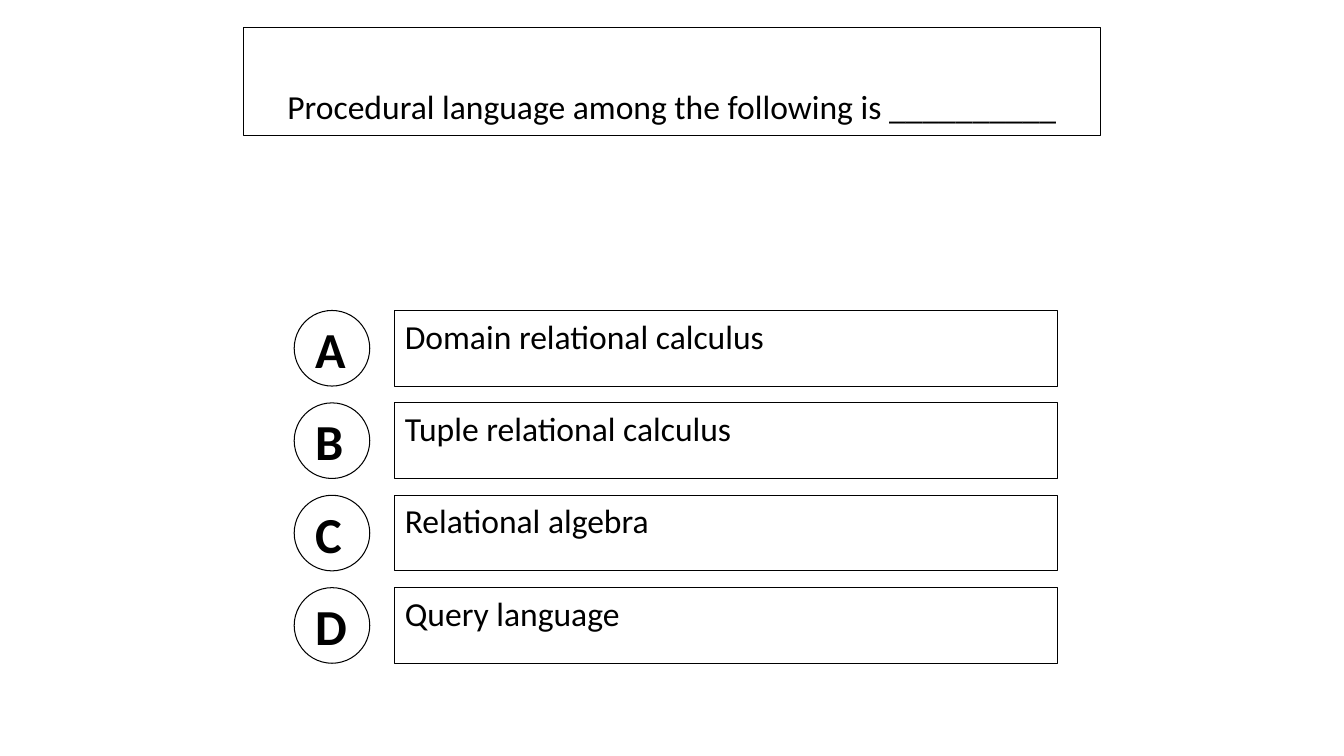
from dataclasses import dataclass

from pptx import Presentation
from pptx import util as u
from pptx.dml.color import RGBColor
from pptx.enum import shapes, text

# Content
QUESTION = "Procedural language among the following is __________"
ANSWERS = [
    ("A", "Domain relational calculus"),
    ("B", "Tuple relational calculus"),
    ("C", "Relational algebra"),
    ("D", "Query language"),
]


@dataclass(frozen=True)
class Theme:
    ink: RGBColor = RGBColor(0, 0, 0)
    paper: RGBColor = RGBColor(255, 255, 255)
    font: str = "Calibri"
    body_size: int = 24
    letter_size: int = 36
    outline: float = 0.75


THEME = Theme()

# Layout in points
SLIDE_SIZE = (960.48, 540)
QUESTION_BOX = (174.24, 19.44, 612, 77.04)
LETTER_LEFT, ANSWER_LEFT = 210.24, 282.24
ANSWER_WIDTH, ROW_HEIGHT = 473.76, 54
FIRST_ROW, ROW_STEP = 221.76, 66


def style(shape, wording, size, anchor, align=text.PP_ALIGN.LEFT, bold=False):
    """Outline a shape and set its single line of text."""
    shape.line.color.rgb = THEME.ink
    shape.line.width = u.Pt(THEME.outline)
    frame = shape.text_frame
    frame.text = wording
    frame.vertical_anchor = anchor
    para = frame.paragraphs[0]
    para.alignment = align
    font = para.runs[0].font
    font.name, font.size, font.bold = THEME.font, u.Pt(size), bold
    font.color.rgb = THEME.ink
    return frame


def add_shape(page, kind, left, top, width):
    shape = page.shapes.add_shape(
        kind, u.Pt(left), u.Pt(top), u.Pt(width), u.Pt(ROW_HEIGHT))
    shape.shadow.inherit = False
    return shape


def main():
    deck = Presentation()
    deck.slide_width, deck.slide_height = map(u.Pt, SLIDE_SIZE)
    page = deck.slides.add_slide(deck.slide_layouts[5])

    # Question
    title = page.shapes.title
    title.left, title.top, title.width, title.height = map(u.Pt, QUESTION_BOX)
    frame = style(title, QUESTION, THEME.body_size,
                  text.MSO_ANCHOR.BOTTOM, text.PP_ALIGN.CENTER)
    frame.margin_bottom = u.Pt(6)
    frame.paragraphs[0].line_spacing = 0.9

    # Answers: a lettered circle beside each box
    for row, (letter, answer) in enumerate(ANSWERS):
        top = FIRST_ROW + row * ROW_STEP
        circle = add_shape(page, shapes.MSO_SHAPE.OVAL, LETTER_LEFT, top, ROW_HEIGHT)
        circle.fill.background()
        frame = style(circle, letter, THEME.letter_size,
                      text.MSO_ANCHOR.MIDDLE, bold=True)
        frame.word_wrap = False

        box = add_shape(page, shapes.MSO_SHAPE.RECTANGLE, ANSWER_LEFT, top, ANSWER_WIDTH)
        box.fill.solid()
        box.fill.fore_color.rgb = THEME.paper
        style(box, answer, THEME.body_size, text.MSO_ANCHOR.TOP)

    deck.save("out.pptx")


if __name__ == "__main__":
    main()
